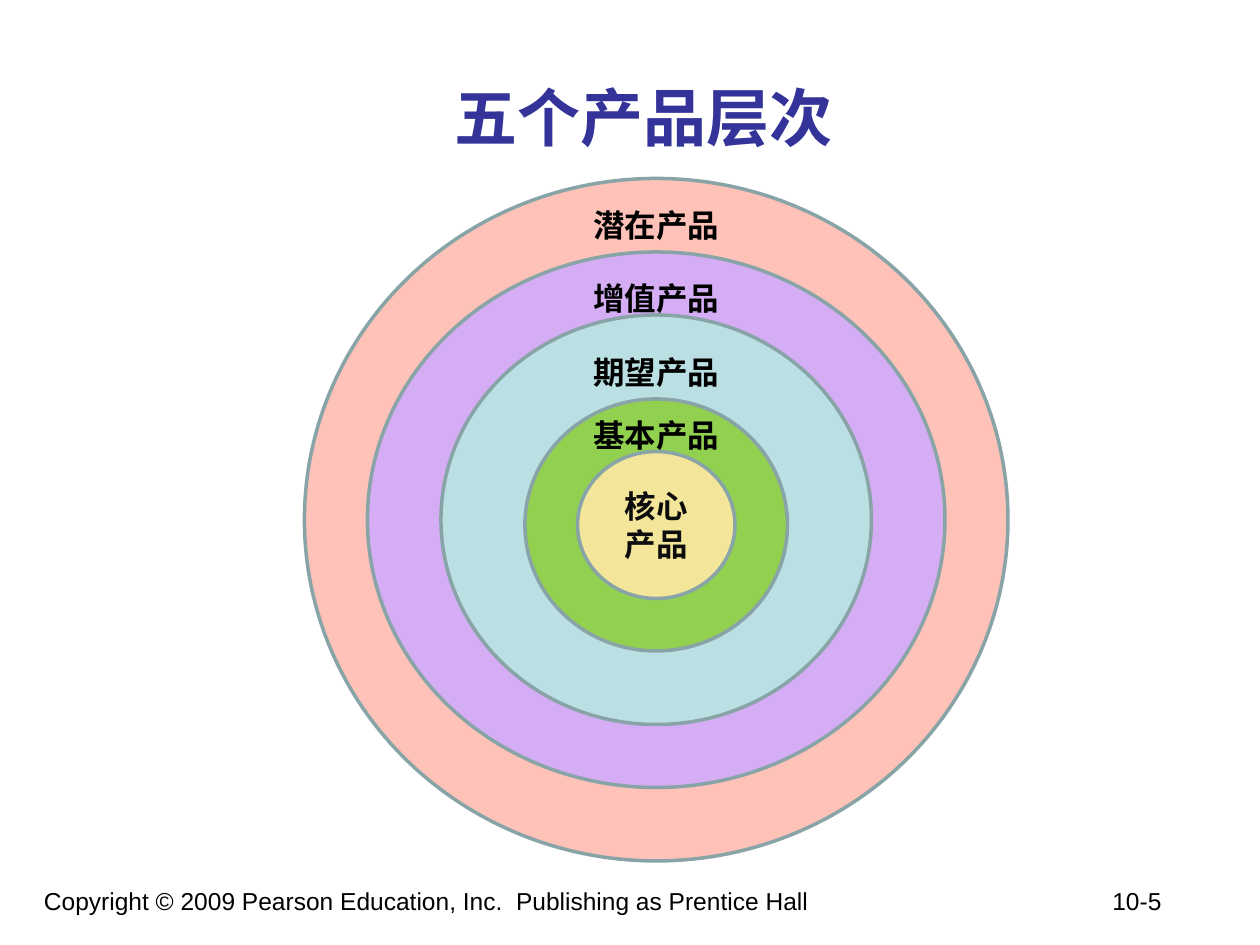
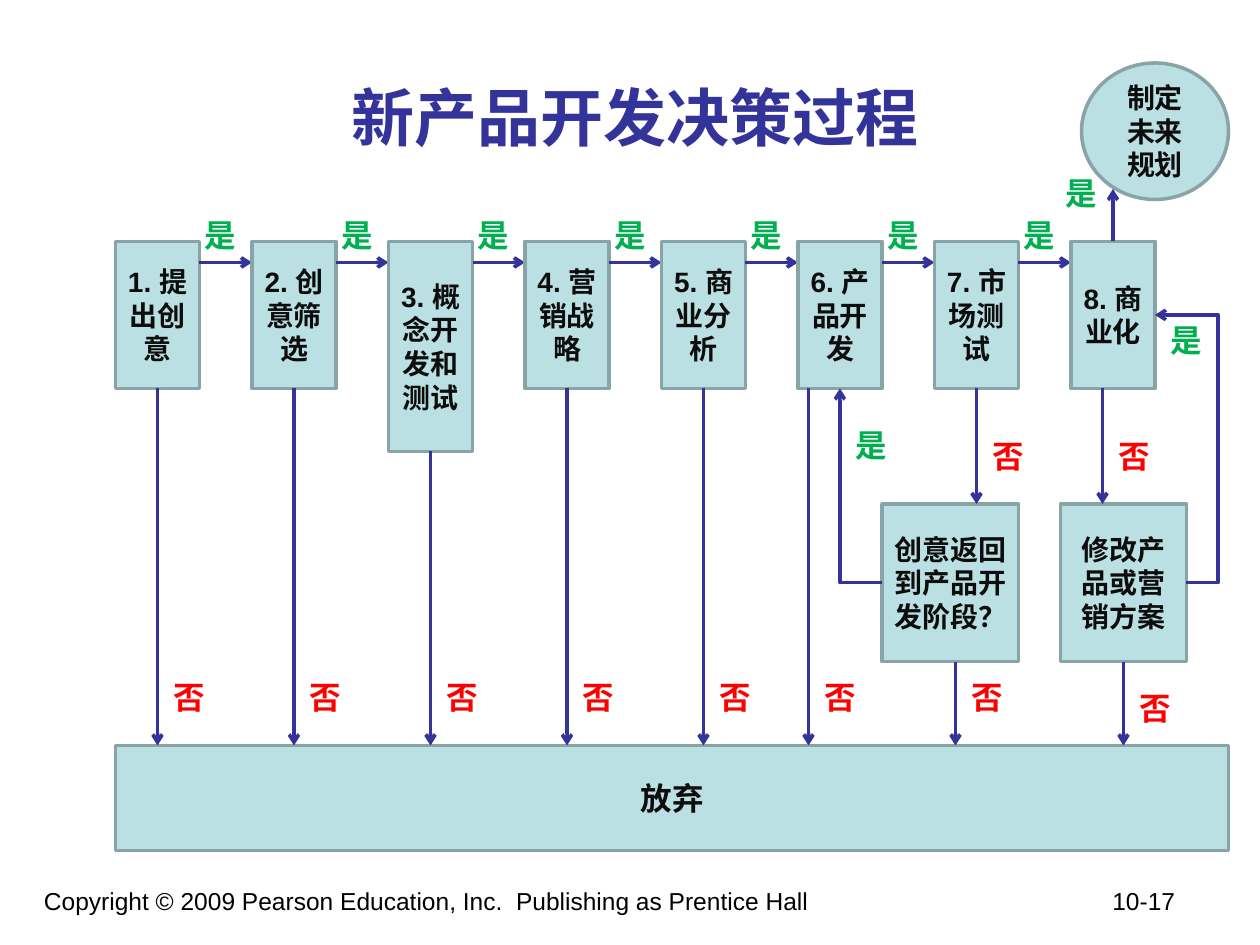
"""Build two slides on product levels and new-product decisions."""
from lxml.etree import SubElement as Sub
from pptx import Presentation as Deck
from pptx.dml.color import RGBColor as RGB
from pptx.enum.shapes import MSO_CONNECTOR as Link, MSO_SHAPE as Form
from pptx.enum.text import MSO_ANCHOR as Anchor, PP_ALIGN as Align
from pptx.oxml.ns import qn
from pptx.util import Inches, Pt

INK, BLACK, BLUE = "0D0D0D", "000000", "333399"
GREEN, RED, PALE, EDGE = "00B050", "FF0000", "BBE0E3", "89A4A7"
BODY, HEAD = "Arial", "Noto Sans CJK SC"


def color(code):
    return RGB.from_string(code)


def grid(*cells):
    """Turn twelfths of an inch into lengths."""
    return [Inches(cell / 12) for cell in cells]


class Page:
    """Hold the shared style and the current slide."""

    def __init__(self, deck, title, number, left=10):
        self.slide = deck.slides.add_slide(deck.slide_layouts[6])
        self.footer(number)
        box = self.text(title, (left, 3.6, 101, 15), 36, BLUE, font=HEAD)
        box.text_frame.vertical_anchor = Anchor.MIDDLE

    def label(self, shape, words, size, ink, bold=True, font=BODY, align=Align.CENTER):
        frame = shape.text_frame
        frame.word_wrap = True
        para = frame.paragraphs[0]
        para.alignment = align
        run = para.add_run()
        run.text = words
        run.font.name, run.font.size, run.font.bold = font, Pt(size), bold
        run.font.color.rgb = color(ink)
        Sub(run.font._element, qn("a:ea"), typeface=font)
        return para

    def text(self, words, area, size=18, ink=BLACK, font=BODY):
        box = self.slide.shapes.add_textbox(*grid(*area))
        self.label(box, words, size, ink, font=font)
        return box

    def footer(self, number):
        box = self.slide.shapes.add_textbox(*grid(3, 83.75, 112, 6.25))
        words = f"Copyright © 2009 Pearson Education, Inc.  Publishing as Prentice Hall\t{number}"
        para = self.label(box, words, 14, BLACK, False, align=Align.LEFT)
        tabs = Sub(para._p.get_or_add_pPr(), qn("a:tabLst"))
        Sub(tabs, qn("a:tab"), pos=str(Inches(8.48)), algn="l")

    def shape(self, area, form=Form.RECTANGLE, fill=PALE, words="", size=16):
        item = self.slide.shapes.add_shape(form, *grid(*area))
        item.shadow.inherit = False
        item.fill.solid()
        item.fill.fore_color.rgb = color(fill)
        item.line.color.rgb = color(EDGE)
        item.line.width = Pt(2)
        if words:
            item.text_frame.vertical_anchor = Anchor.MIDDLE
            self.label(item, words, size, INK)

    def arrow(self, start, end, kind=Link.STRAIGHT):
        line = self.slide.shapes.add_connector(kind, *grid(*start, *end))
        line.line.color.rgb = color(BLUE)
        line.line.width = Pt(2)
        Sub(line.line._get_or_add_ln(), qn("a:tailEnd"), type="arrow")
        Sub(line._element.spPr, qn("a:effectLst"))
        return line

    def elbow(self, start, end, preset, bend=None):
        line = self.arrow(start, end, Link.ELBOW)
        geom = line._element.spPr.find(qn("a:prstGeom"))
        geom.set("prst", preset)
        if bend is not None:
            guides = geom.find(qn("a:avLst"))
            if guides is None:
                guides = Sub(geom, qn("a:avLst"))
            Sub(guides, qn("a:gd"), name="adj1", fmla=f"val {bend}")

    def mark(self, words, left, top):
        ink = GREEN if words == "是" else RED
        self.text(words, (left, top, 6, 4.8), ink=ink)


def levels(deck):
    page = Page(deck, "五个产品层次", "10-5", 10.75)
    rings = [
        ((29, 17, 67, 65), "FEC2B8"),
        ((35, 24, 55, 51), "D4ADF5"),
        ((42, 30, 41, 39), PALE),
        ((50, 38, 25, 24), "92D050"),
    ]
    for area, fill in rings:
        page.shape(area, Form.OVAL, fill)
    page.shape((55, 43, 15, 14), Form.OVAL, "F3E69B", "核心产品", 18)
    names = [("潜在产品", 19), ("增值产品", 26), ("期望产品", 33), ("基本产品", 39)]
    for name, top in names:
        page.text(name, (51, top, 23, 4.8))


def process(deck):
    page = Page(deck, "新产品开发决策过程", "10-17")
    steps = ["提出创意", "创意筛选", "概念开发和测试", "营销战略",
             "商业分析", "产品开发", "市场测试", "商业化"]
    left, step, wide, top, drop = 11, 13, 8, 23, 71
    page.shape((left, drop, 106, 10), words="放弃", size=18)
    for i, name in enumerate(steps):
        x = left + step * i
        high = 20 if i == 2 else 14
        page.shape((x, top, wide, high), words=f"{i + 1}. {name}")
        if i < 7:
            page.arrow((x + wide, 25), (x + step, 25))
            page.mark("是", x + 7, 20)
        if i < 6:
            mid = 77 if i == 5 else x + 4
            page.arrow((mid, top + high), (mid, drop))
            page.mark("否", mid, 64)

    page.shape((103, 6, 14, 13), Form.OVAL, words="制定未来规划")
    page.arrow((106, top), (106, 18))
    page.shape((84, 48, 13, 15), words="创意返回到产品开发阶段？")
    page.shape((101, 48, 12, 15), words="修改产品或营销方案")
    for mid, low, base in [(93, 37, 48), (105, 37, 48), (91, 63, drop), (107, 63, drop)]:
        page.arrow((mid, low), (mid, base))
    page.elbow((84, 55.5), (80, 37), "bentConnector2")
    page.elbow((113, 55.5), (110, 30), "bentConnector3", -100000)
    for spot in [(100, 16), (80, 40), (110, 30)]:
        page.mark("是", *spot)
    for spot in [(93, 41), (105, 41), (91, 64), (107, 65)]:
        page.mark("否", *spot)


def main():
    deck = Deck()
    deck.slide_width, deck.slide_height = Inches(10), Inches(7.5)
    levels(deck)
    process(deck)
    deck.save("out.pptx")


if __name__ == "__main__":
    main()
